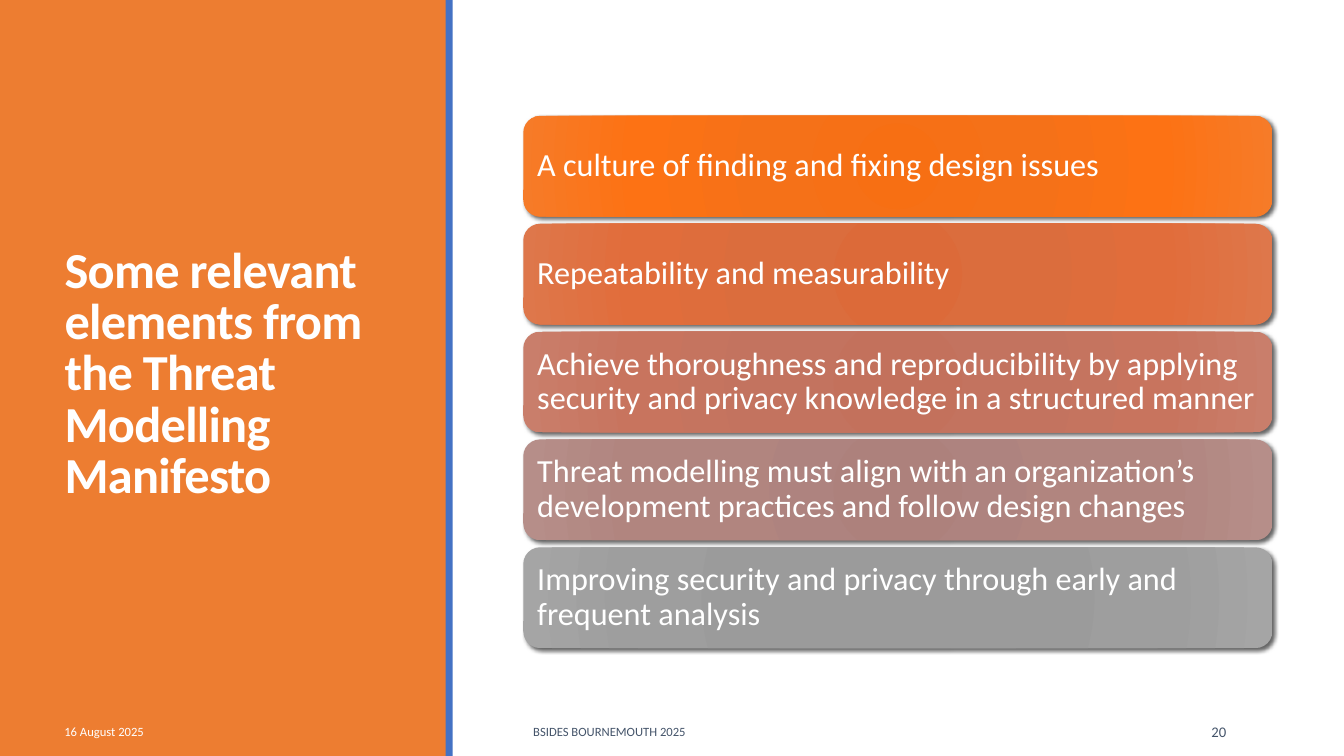
"""Build the slide on relevant elements from the Threat Modelling Manifesto."""
from dataclasses import dataclass

import pptx
import pptx.dml.color
import pptx.enum.shapes
import pptx.enum.text
import pptx.oxml
import pptx.oxml.ns
import pptx.util

Inches = pptx.util.Inches
Pt = pptx.util.Pt
Shape = pptx.enum.shapes.MSO_SHAPE
Align = pptx.enum.text.PP_ALIGN

WHITE, ORANGE, BLUE, SLATE = "FFFFFF", "ED7D31", "4472C4", "44546A"
BAR_LEFT, BAR_TOP, BAR_WIDTH, BAR_HEIGHT, BAR_PITCH = 5.19, 1.15, 7.43, 1, 1.07
STOP_POSITIONS = (0, 34, 70, 100)
DRAWING = pptx.oxml.ns.nsdecls("a")


@dataclass
class Element:
    wording: str
    stops: tuple[str, ...]


@dataclass
class Panel:
    left: float
    width: float
    colour: str


@dataclass
class FooterItem:
    wording: str
    left: float
    width: float
    size: float
    colour: str
    align: Align = Align.LEFT


PANELS = (Panel(0, 4.43, ORANGE), Panel(4.42, 0.07, BLUE))
ELEMENTS = (
    Element("A culture of finding and fixing design issues",
            ("F76F13", "F57118", "FD7214", "F67B28")),
    Element("Repeatability and measurability",
            ("DC6A39", "DB6D3D", "E16D3B", "DE774B")),
    Element("Achieve thoroughness and reproducibility by applying security "
            "and privacy knowledge in a structured manner",
            ("C3715C", "C3735F", "C8745E", "C97E6B")),
    Element("Threat modelling must align with an organization’s development "
            "practices and follow design changes",
            ("AD817C", "AE837F", "B1857F", "B68E89")),
    Element("Improving security and privacy through early and frequent analysis",
            ("9A9A9A", "9B9B9B", "9E9E9E", "A5A5A5")),
)
FOOTER = (
    FooterItem("16 August 2025", 0.54, 1.9, 9, WHITE),
    FooterItem("BSIDES BOURNEMOUTH 2025", 5.19, 5.58, 9, SLATE),
    FooterItem("20", 11.07, 1.19, 10.5, SLATE, Align.RIGHT),
)


def colour(hex_value: str) -> pptx.dml.color.RGBColor:
    return pptx.dml.color.RGBColor.from_string(hex_value)


def set_all(target: object, values: dict) -> None:
    for attribute, value in values.items():
        setattr(target, attribute, value)


def write(shape, wording: str, size: float, hex_value: str, spacing: float = 1.0,
          align: Align = Align.LEFT, bold: bool = False, inset: float = 0.1):
    frame = shape.text_frame
    set_all(frame, {
        "word_wrap": True,
        "auto_size": pptx.enum.text.MSO_AUTO_SIZE.NONE,
        "vertical_anchor": pptx.enum.text.MSO_ANCHOR.MIDDLE,
        "margin_left": Inches(inset),
        "margin_right": Inches(inset),
    })
    paragraph = frame.paragraphs[0]
    set_all(paragraph, {"alignment": align, "line_spacing": spacing})
    run = paragraph.add_run()
    run.text = wording
    set_all(run.font, {"name": "Calibri", "size": Pt(size), "bold": bold})
    run.font.color.rgb = colour(hex_value)
    return run


def draw_panel(slide, panel: Panel) -> None:
    strip = slide.shapes.add_shape(Shape.RECTANGLE, Inches(panel.left), 0,
                                   Inches(panel.width), Inches(7.5))
    strip.shadow.inherit = False
    strip.fill.solid()
    strip.fill.fore_color.rgb = colour(panel.colour)
    strip.line.fill.background()


def draw_title(slide, wording: str) -> None:
    title = slide.shapes.title
    set_all(title, {"left": Inches(0.54), "top": Inches(0.57),
                    "width": Inches(3.37), "height": Inches(6.31)})
    run = write(title, wording, 36, WHITE, spacing=0.85, bold=True)
    run.font._element.set("spc", "-50")
    slide.shapes._spTree.append(title._element)


def draw_element(slide, element: Element, top: float) -> None:
    bar = slide.shapes.add_shape(Shape.ROUNDED_RECTANGLE, Inches(BAR_LEFT), Inches(top),
                                 Inches(BAR_WIDTH), Inches(BAR_HEIGHT))
    bar.line.fill.background()
    bar.fill.gradient()
    bar.shadow.inherit = False
    properties = bar._element.spPr
    stops = "".join(
        f'<a:gs pos="{position * 1000}"><a:srgbClr val="{stop}"/></a:gs>'
        for position, stop in zip(STOP_POSITIONS, element.stops))
    gradient = pptx.oxml.parse_xml(
        f'<a:gradFill {DRAWING} rotWithShape="1"><a:gsLst>{stops}</a:gsLst>'
        '<a:path path="circle"><a:fillToRect l="100000" t="100000" r="100000" b="100000"/>'
        '</a:path></a:gradFill>')
    properties.replace(properties.find(pptx.oxml.ns.qn("a:gradFill")), gradient)
    properties.find(pptx.oxml.ns.qn("a:effectLst")).append(pptx.oxml.parse_xml(
        f'<a:outerShdw {DRAWING} blurRad="{Pt(3)}" dist="{Pt(2)}" dir="2700000" '
        'algn="ctr" rotWithShape="0"><a:srgbClr val="000000"><a:alpha val="60000"/>'
        '</a:srgbClr></a:outerShdw>'))
    write(bar, element.wording, 23, WHITE, spacing=0.9, inset=0.09)


def draw_footer_item(slide, item: FooterItem) -> None:
    box = slide.shapes.add_textbox(Inches(item.left), Inches(7.06),
                                   Inches(item.width), Inches(0.4))
    write(box, item.wording, item.size, item.colour, align=item.align)


def main() -> None:
    deck = pptx.Presentation()
    set_all(deck, {"slide_width": Inches(13.33), "slide_height": Inches(7.5)})
    slide = deck.slides.add_slide(deck.slide_layouts[5])
    for panel in PANELS:
        draw_panel(slide, panel)
    draw_title(slide, "Some relevant elements from the Threat Modelling Manifesto")
    for index, element in enumerate(ELEMENTS):
        draw_element(slide, element, BAR_TOP + index * BAR_PITCH)
    for item in FOOTER:
        draw_footer_item(slide, item)
    deck.save("out.pptx")


if __name__ == "__main__":
    main()
